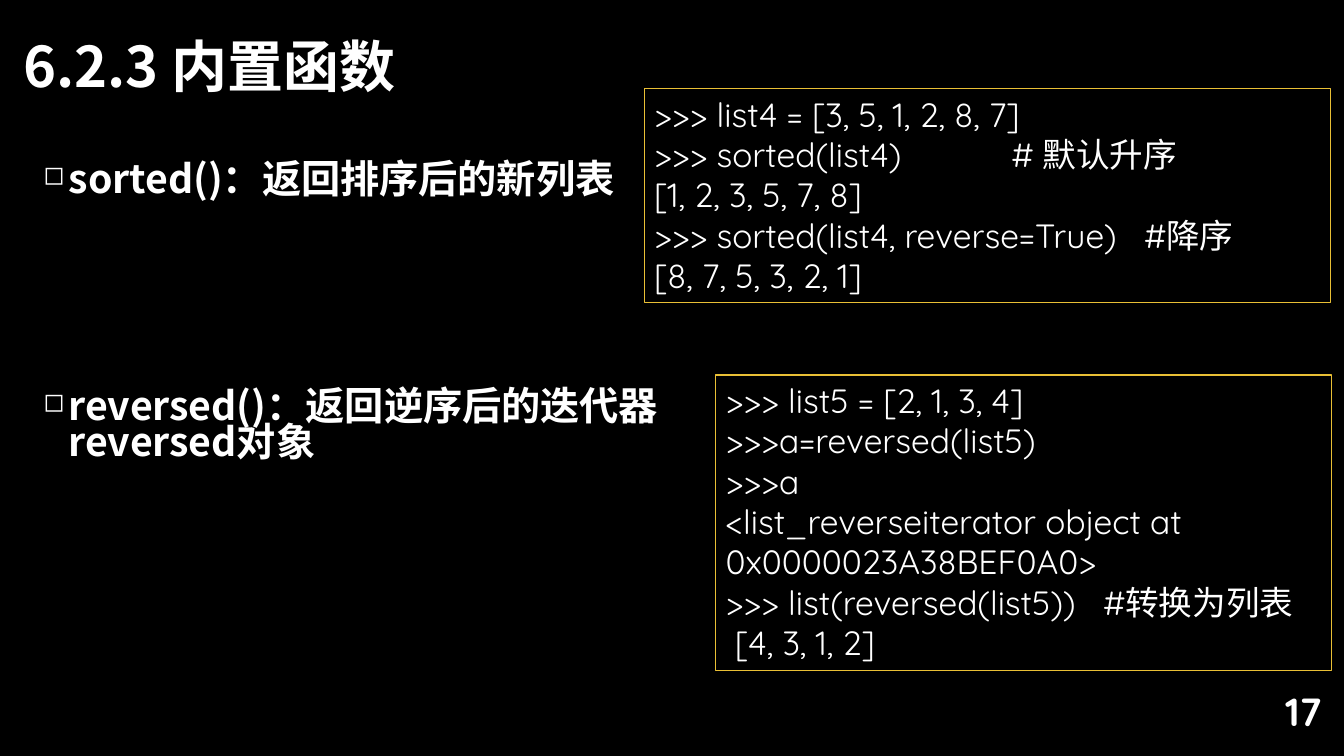
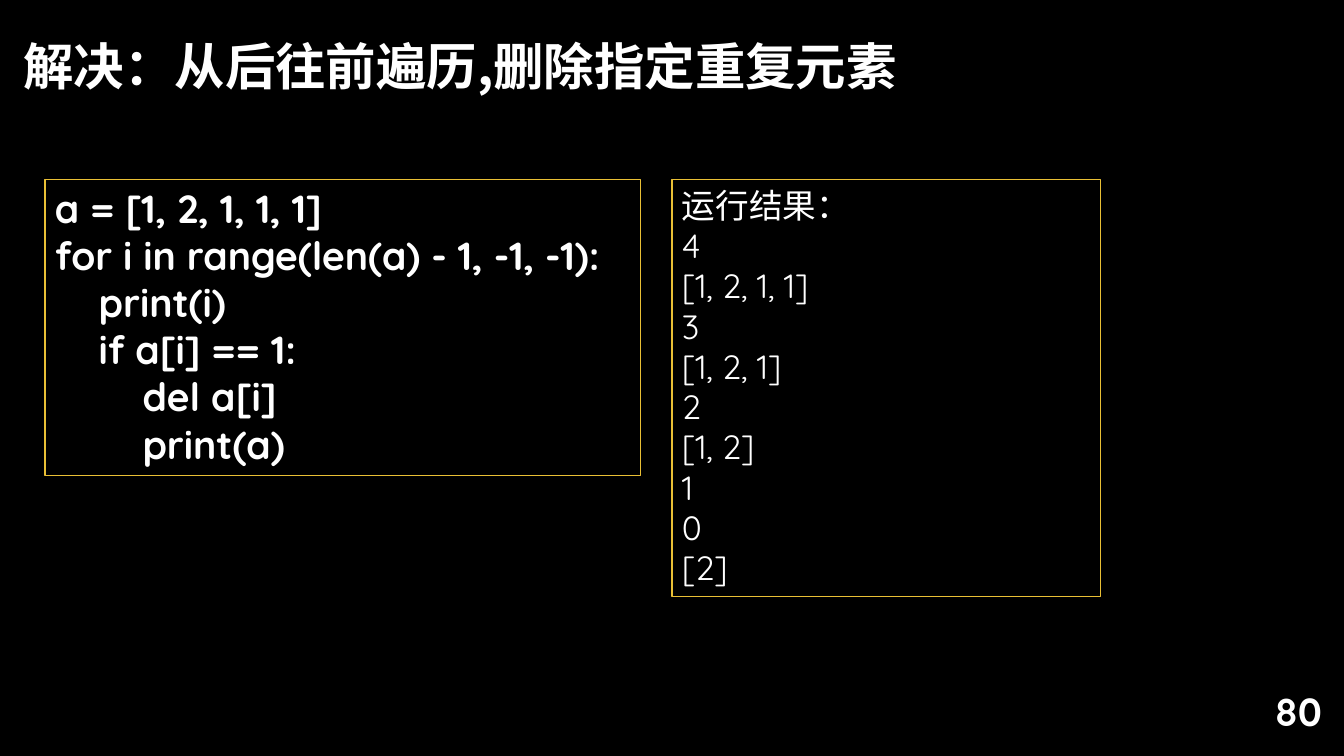
from lxml import etree
from pptx import Presentation
from pptx.dml.color import RGBColor
from pptx.enum.shapes import MSO_SHAPE
from pptx.enum.text import MSO_ANCHOR, PP_ALIGN
from pptx.oxml.ns import qn
from pptx.util import Inches, Pt

RECT = MSO_SHAPE.RECTANGLE
TOP, MIDDLE = MSO_ANCHOR.TOP, MSO_ANCHOR.MIDDLE
LEFT, RIGHT = PP_ALIGN.LEFT, PP_ALIGN.RIGHT

W, H = Inches(13.33), Inches(7.5)
COLORS = {"page": "000000", "text": "FFFFFF", "border": "E9BF35"}
HEAD, CODE = "Noto Sans CJK SC", "Quicksand"

TITLE_AREA = (1, 2, 70.9, 14.4)
NUMBER_AREA = (76.6, 91.33, 22.5, 5.33)
POINT_LEFT, POINT_WIDTH, POINT_HEIGHT = 2.5, 48.45, 13.3


def rgb(name):
    return RGBColor.from_string(COLORS[name])


def area(left, top, width, height):
    return (int(W * left / 100), int(H * top / 100),
            int(W * width / 100), int(H * height / 100))


def add_bullet(p):
    pPr = p._p.get_or_add_pPr()
    pPr.set("marL", str(Inches(0.25)))
    pPr.set("indent", str(-Inches(0.25)))
    etree.SubElement(pPr, qn("a:buSzPct"), val="66000")
    etree.SubElement(pPr, qn("a:buChar"), char="◻")


def write(sp, lines, font, anchor=TOP, align=LEFT, spacing=None, bullet=False):
    tf = sp.text_frame
    for name, value in {"word_wrap": True, "vertical_anchor": anchor}.items():
        setattr(tf, name, value)
    for i, line in enumerate(lines):
        p = tf.paragraphs[0] if i == 0 else tf.add_paragraph()
        for name, value in {"alignment": align, "line_spacing": spacing}.items():
            setattr(p, name, value)
        if bullet:
            add_bullet(p)
        r = p.add_run()
        r.text = line
        for name, value in font.items():
            setattr(r.font, name, value)
        r.font.color.rgb = rgb("text")
        etree.SubElement(r.font._element, qn("a:ea"), typeface=font["name"])


def add_text(s, box, text, font, **layout):
    write(s.shapes.add_textbox(*area(*box)), [text], font, **layout)


def add_point(s, top, text):
    add_text(s, (POINT_LEFT, top, POINT_WIDTH, POINT_HEIGHT), text,
             {"name": HEAD, "size": Pt(28), "bold": True},
             spacing=0.76, bullet=True)


def add_code(s, box, code, size=24, bold=False):
    sp = s.shapes.add_shape(RECT, *area(*box))
    sp.shadow.inherit = False
    sp.fill.background()
    sp.line.color.rgb = rgb("border")
    sp.line.width = Pt(0.75)
    write(sp, code, {"name": CODE, "size": Pt(size), "bold": bold})


def add_slide(prs, title, size, number):
    s = prs.slides.add_slide(prs.slide_layouts[6])
    add_text(s, TITLE_AREA, title,
             {"name": HEAD, "size": Pt(size), "bold": True},
             anchor=MIDDLE, spacing=0.9)
    add_text(s, NUMBER_AREA, str(number),
             {"name": CODE, "size": Pt(28), "bold": True},
             anchor=MIDDLE, align=RIGHT)
    return s


def main():
    prs = Presentation()
    prs.slide_width, prs.slide_height = W, H
    fill = prs.slide_master.background.fill
    fill.solid()
    fill.fore_color.rgb = rgb("page")

    s = add_slide(prs, "6.2.3 内置函数", 40, 17)
    add_point(s, 21.2, "sorted()：返回排序后的新列表")
    add_point(s, 51.2, "reversed()：返回逆序后的迭代器reversed对象")
    add_code(s, (47.93, 11.75, 51.08, 28.25), [
        ">>> list4 = [3, 5, 1, 2, 8, 7]",
        ">>> sorted(list4)            # 默认升序",
        "[1, 2, 3, 5, 7, 8]",
        ">>> sorted(list4, reverse=True)   #降序",
        "[8, 7, 5, 3, 2, 1]",
    ])
    add_code(s, (53.25, 49.6, 45.83, 39.1), [
        ">>> list5 = [2, 1, 3, 4]",
        ">>>a=reversed(list5)",
        ">>>a",
        "<list_reverseiterator object at 0x0000023A38BEF0A0>",
        ">>> list(reversed(list5))   #转换为列表",
        " [4, 3, 1, 2]",
    ])

    s = add_slide(prs, "解决：从后往前遍历,删除指定重复元素", 36, 80)
    add_code(s, (3.35, 23.75, 44.33, 39.1), [
        "a = [1, 2, 1, 1, 1]",
        "for i in range(len(a) - 1, -1, -1):",
        "    print(i)",
        "    if a[i] == 1:",
        "        del a[i]",
        "        print(a)",
    ], size=28, bold=True)
    add_code(s, (50, 23.75, 31.87, 55.2), [
        "运行结果：", "4", "[1, 2, 1, 1]", "3", "[1, 2, 1]",
        "2", "[1, 2]", "1", "0", "[2]",
    ])
    prs.save("out.pptx")


if __name__ == "__main__":
    main()
